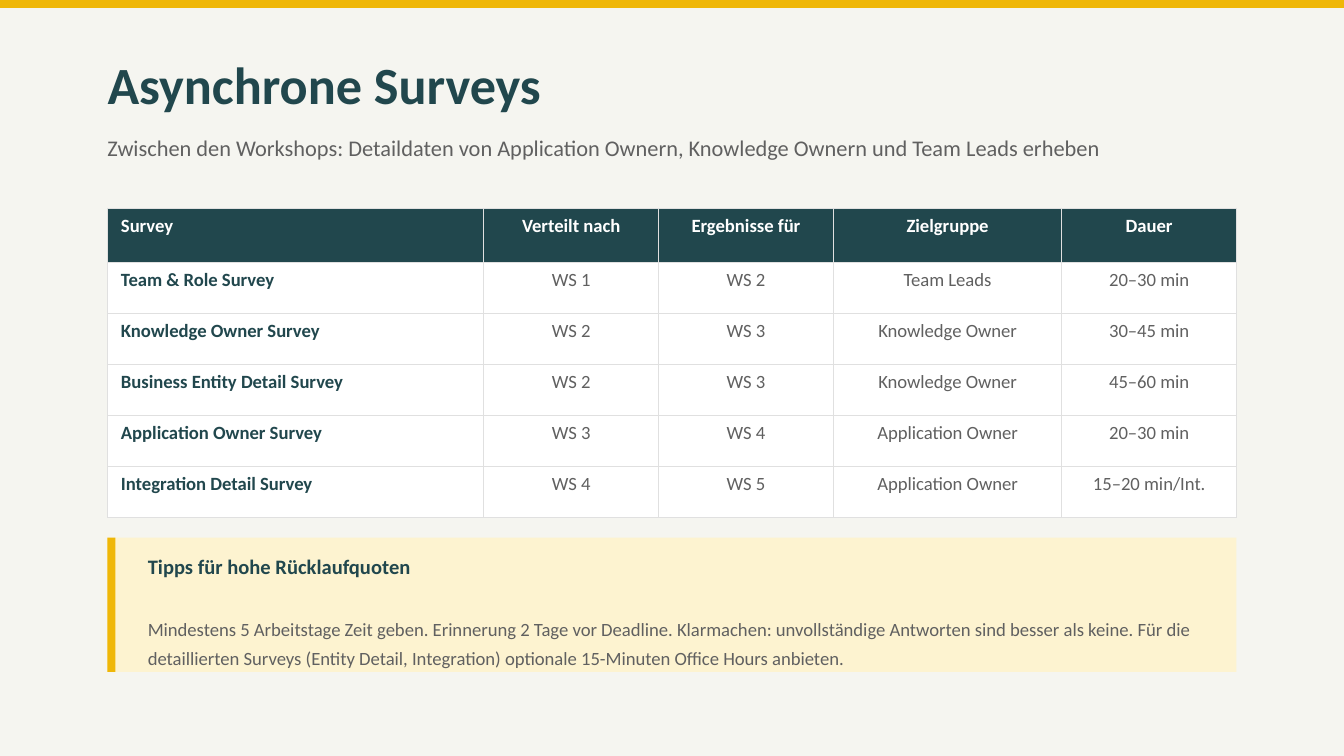
from typing import NamedTuple

from lxml import etree
from pptx import Presentation
from pptx.dml.color import RGBColor
from pptx.enum.shapes import MSO_SHAPE
from pptx.enum.text import MSO_ANCHOR, MSO_AUTO_SIZE, PP_ALIGN
from pptx.oxml.ns import qn
from pptx.util import Inches, Pt

RECT = MSO_SHAPE.RECTANGLE
MIDDLE = MSO_ANCHOR.MIDDLE
FIXED = MSO_AUTO_SIZE.NONE
LEFT, CENTER = PP_ALIGN.LEFT, PP_ALIGN.CENTER

TEAL = RGBColor(0x21, 0x47, 0x4D)
GOLD = RGBColor(0xEF, 0xB7, 0x08)
CREAM = RGBColor(0xFD, 0xF3, 0xD0)
PAPER = RGBColor(0xF5, 0xF5, 0xF0)
GRAY = RGBColor(0x60, 0x60, 0x60)
RULE = RGBColor(0xE0, 0xE0, 0xE0)
WHITE = RGBColor(0xFF, 0xFF, 0xFF)

FONT = "Calibri"
CELL = Inches(0.1)
COLS, ROWS = 100, 56.25
EDGE = 8
WIDE = COLS - 2 * EDGE


class Box(NamedTuple):
    col: float
    row: float
    wide: float
    high: float

    def place(self) -> tuple[int, ...]:
        return tuple(round(n * CELL) for n in self)


class Bar(NamedTuple):
    box: Box
    color: RGBColor


class Survey(NamedTuple):
    name: str
    after: str
    before: str
    group: str
    time: str


BARS = [
    Bar(Box(0, 0, COLS, 0.6), GOLD),
    Bar(Box(EDGE, 40, WIDE, 10), CREAM),
    Bar(Box(EDGE, 40, 0.6, 10), GOLD),
]
HEAD = Survey("Survey", "Verteilt nach", "Ergebnisse für", "Zielgruppe", "Dauer")
SURVEYS = [
    Survey("Team & Role Survey", "WS 1", "WS 2", "Team Leads", "20–30 min"),
    Survey("Knowledge Owner Survey", "WS 2", "WS 3", "Knowledge Owner", "30–45 min"),
    Survey("Business Entity Detail Survey", "WS 2", "WS 3", "Knowledge Owner", "45–60 min"),
    Survey("Application Owner Survey", "WS 3", "WS 4", "Application Owner", "20–30 min"),
    Survey("Integration Detail Survey", "WS 4", "WS 5", "Application Owner", "15–20 min/Int."),
]
SPANS = Survey(28, 13, 13, 17, 13)
HEAD_HIGH, BODY_HIGH = 4, 3.8


def write(para, text: str, *, size: float = 10, color: RGBColor = GRAY,
          bold: bool = False, align=LEFT, line=None, after: float = 0) -> None:
    para.alignment = align
    para.space_before, para.space_after = Pt(0), Pt(after)
    if line:
        para.line_spacing = line
    run = para.add_run()
    run.text = text
    font = run.font
    font.name, font.size, font.bold = FONT, Pt(size), bold
    font.color.rgb = color


def frame(shape, box: Box):
    shape.left, shape.top, shape.width, shape.height = box.place()
    text = shape.text_frame
    text.word_wrap = True
    text.auto_size = FIXED
    text.vertical_anchor = MIDDLE
    text.margin_left = text.margin_right = text.margin_top = text.margin_bottom = 0
    return text


def draw_bar(slide, bar: Bar) -> None:
    shape = slide.shapes.add_shape(RECT, *bar.box.place())
    shape.shadow.inherit = False
    shape.fill.solid()
    shape.fill.fore_color.rgb = bar.color
    shape.line.fill.background()


def rule(cell) -> None:
    props = cell._tc.get_or_add_tcPr()
    for side in ("lnL", "lnR", "lnT", "lnB"):
        line = etree.SubElement(props, qn(f"a:{side}"), w=str(Pt(0.5)))
        fill = etree.SubElement(line, qn("a:solidFill"))
        etree.SubElement(fill, qn("a:srgbClr"), val=str(RULE))


def draw_table(slide, box: Box) -> None:
    lines = [HEAD, *SURVEYS]
    table = slide.shapes.add_table(len(lines), len(HEAD), *box.place()).table
    table.horz_banding = False
    for col, span in zip(table.columns, SPANS):
        col.width = round(span * CELL)
    for r, line in enumerate(lines):
        top = r == 0
        table.rows[r].height = round((HEAD_HIGH if top else BODY_HIGH) * CELL)
        for c, text in enumerate(line):
            cell = table.cell(r, c)
            rule(cell)
            cell.fill.solid()
            cell.fill.fore_color.rgb = TEAL if top else WHITE
            first = c == 0
            write(cell.text_frame.paragraphs[0], text, bold=top or first,
                  color=WHITE if top else TEAL if first else GRAY,
                  align=LEFT if first else CENTER)


def main() -> None:
    deck = Presentation()
    deck.slide_width, deck.slide_height = COLS * CELL, round(ROWS * CELL)
    slide = deck.slides.add_slide(deck.slide_layouts[5])
    back = slide.background.fill
    back.solid()
    back.fore_color.rgb = PAPER

    title = frame(slide.shapes.title, Box(EDGE, 3.5, WIDE, 5.5))
    write(title.paragraphs[0], "Asynchrone Surveys", size=28, color=TEAL, bold=True)

    box = Box(EDGE, 9, WIDE, 4)
    lead = frame(slide.shapes.add_textbox(*box.place()), box)
    write(lead.paragraphs[0], "Zwischen den Workshops: Detaildaten von Application Ownern, "
          "Knowledge Ownern und Team Leads erheben", size=12)

    draw_table(slide, Box(EDGE, 15.5, WIDE, HEAD_HIGH + BODY_HIGH * len(SURVEYS)))
    for bar in BARS:
        draw_bar(slide, bar)

    box = Box(11, 41, 79, 8.5)
    tips = frame(slide.shapes.add_textbox(*box.place()), box)
    write(tips.paragraphs[0], "Tipps für hohe Rücklaufquoten", size=11,
          color=TEAL, bold=True, line=1.3, after=17.4)
    write(tips.add_paragraph(), "Mindestens 5 Arbeitstage Zeit geben. Erinnerung 2 Tage vor "
          "Deadline. Klarmachen: unvollständige Antworten sind besser als keine. Für die "
          "detaillierten Surveys (Entity Detail, Integration) optionale 15-Minuten Office "
          "Hours anbieten.", line=1.3)

    deck.save("out.pptx")


if __name__ == "__main__":
    main()
